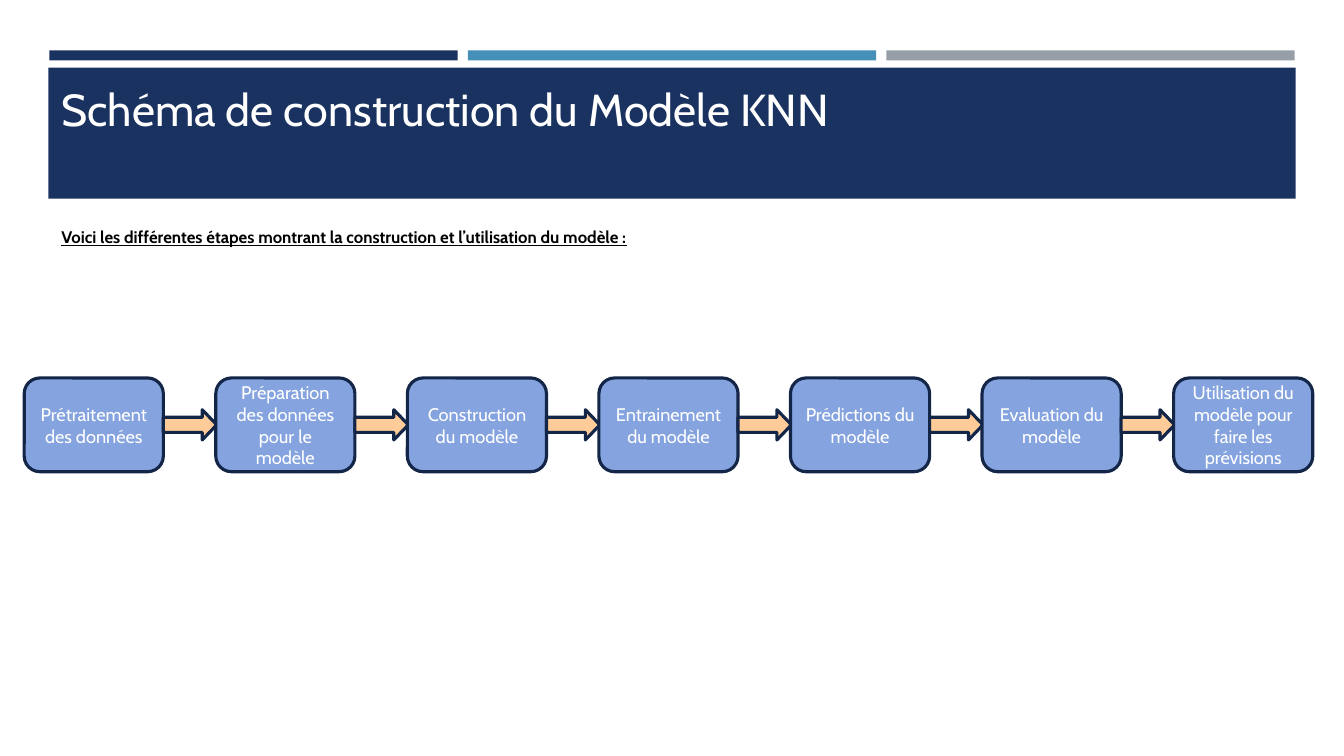
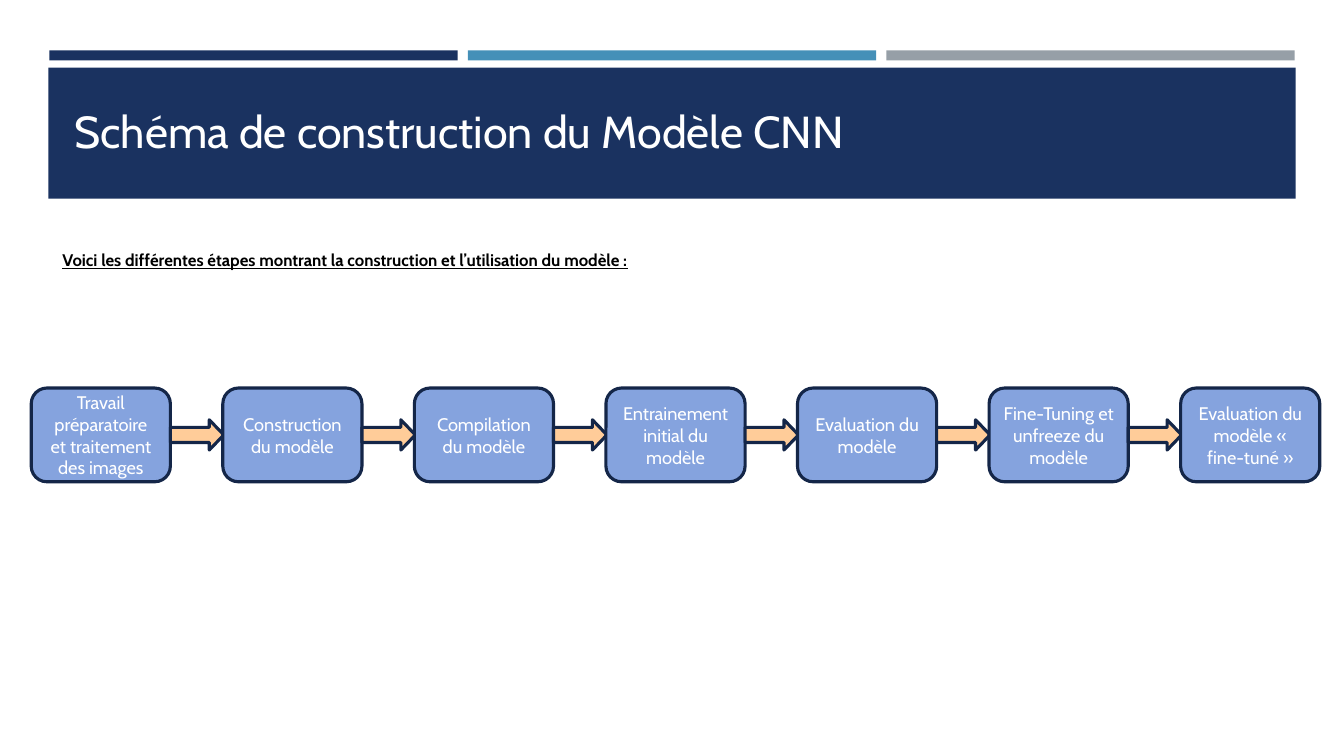
"""Build two slides that show the construction steps of the KNN and CNN models."""
from pptx import Presentation
from pptx.dml.color import RGBColor
from pptx.enum.shapes import MSO_SHAPE as Preset
from pptx.enum.text import MSO_ANCHOR as Anchor, MSO_AUTO_SIZE as AutoSize, PP_ALIGN as Align
from pptx.util import Inches, Pt

NAVY = RGBColor(0x1A, 0x32, 0x60)
BLUE = RGBColor(0x45, 0x90, 0xB8)
GREY = RGBColor(0x96, 0x9F, 0xA7)
STEP_FILL = RGBColor(0x85, 0xA3, 0xDE)
ARROW_FILL = RGBColor(0xFF, 0xCC, 0x99)
OUTLINE = RGBColor(0x14, 0x26, 0x48)
WHITE = RGBColor(0xFF, 0xFF, 0xFF)
BLACK = RGBColor(0x00, 0x00, 0x00)

INTRO = "Voici les différentes étapes montrant la construction et l’utilisation du modèle :"
DIAGRAMS = [
    {
        "title": "Schéma de construction du Modèle KNN",
        "title_at": (0.51, 0.76),
        "intro_at": (0.51, 2.2),
        "steps_at": (0.24, 3.75),
        "steps": [
            "Prétraitement des données",
            "Préparation des données pour le modèle",
            "Construction du modèle",
            "Entrainement du modèle",
            "Prédictions du modèle",
            "Evaluation du modèle",
            "Utilisation du modèle pour faire les prévisions",
        ],
    },
    {
        "title": "Schéma de construction du Modèle CNN",
        "title_at": (0.64, 0.98),
        "intro_at": (0.52, 2.43),
        "steps_at": (0.31, 3.85),
        "steps": [
            "Travail préparatoire et traitement des images",
            "Construction du modèle",
            "Compilation du modèle",
            "Entrainement initial du modèle",
            "Evaluation du modèle",
            "Fine-Tuning et unfreeze du modèle",
            "Evaluation du modèle « fine-tuné »",
        ],
    },
]

TITLE_STYLE = {"size": Pt(32)}
INTRO_STYLE = {"size": Pt(12), "bold": True, "underline": True}
STEP_STYLE = {"size": Pt(13)}

TITLE_SIZE = (11.31, 0.64)
INTRO_SIZE = (12.29, 0.3)
STEP_SIZE = (1.38, 0.93)
ARROW_SIZE = (0.53, 0.3)
STEP_PITCH = 1.9
STRIPE_LEFT, STRIPE_TOP, STRIPE_PITCH = 0.49, 0.5, 4.15
STRIPE_SIZE = (4.05, 0.1)
BAND_AT, BAND_SIZE = (0.48, 0.67), (12.37, 1.3)


def place(position, size):
    return [Inches(length) for length in (*position, *size)]


def add_block(slide, preset, position, size, fill, outline=None):
    block = slide.shapes.add_shape(preset, *place(position, size))
    block.shadow.inherit = False
    block.fill.solid()
    block.fill.fore_color.rgb = fill
    if outline is None:
        block.line.fill.background()
    else:
        block.line.color.rgb = outline
        block.line.width = Pt(2.25)
    return block


def write(frame, text, style, colour, align=Align.LEFT):
    frame.word_wrap = True
    paragraph = frame.paragraphs[0]
    paragraph.alignment = align
    run = paragraph.add_run()
    run.text = text
    for name, value in {"name": "Cabin", **style}.items():
        setattr(run.font, name, value)
    run.font.color.rgb = colour


def add_line_of_text(slide, position, size, text, style, colour):
    frame = slide.shapes.add_textbox(*place(position, size)).text_frame
    write(frame, text, style, colour)
    frame.auto_size = AutoSize.SHAPE_TO_FIT_TEXT


def add_header(slide, layout):
    stripes = [
        add_block(slide, Preset.RECTANGLE,
                  (STRIPE_LEFT + column * STRIPE_PITCH, STRIPE_TOP), STRIPE_SIZE, colour)
        for column, colour in enumerate((NAVY, BLUE, GREY))
    ]
    band = add_block(slide, Preset.RECTANGLE, BAND_AT, BAND_SIZE, NAVY)
    for part in (*stripes, band):
        layout.shapes.element.append(part.element)


def add_steps(slide, position, steps):
    left, top = position
    arrow_top = top + (STEP_SIZE[1] - ARROW_SIZE[1]) / 2
    for column, text in enumerate(steps):
        step_left = left + column * STEP_PITCH
        step = add_block(slide, Preset.ROUNDED_RECTANGLE, (step_left, top),
                         STEP_SIZE, STEP_FILL, OUTLINE)
        step.text_frame.vertical_anchor = Anchor.MIDDLE
        write(step.text_frame, text, STEP_STYLE, WHITE, Align.CENTER)
        if column < len(steps) - 1:
            arrow = add_block(slide, Preset.RIGHT_ARROW,
                              (step_left + STEP_SIZE[0], arrow_top),
                              ARROW_SIZE, ARROW_FILL, OUTLINE)
            arrow.adjustments[1] = 0.48


def main():
    deck = Presentation()
    deck.slide_width, deck.slide_height = Inches(13.33), Inches(7.5)
    blank = deck.slide_layouts[6]
    for number, diagram in enumerate(DIAGRAMS):
        slide = deck.slides.add_slide(blank)
        if number == 0:
            add_header(slide, blank)
        add_line_of_text(slide, diagram["title_at"], TITLE_SIZE,
                         diagram["title"], TITLE_STYLE, WHITE)
        add_line_of_text(slide, diagram["intro_at"], INTRO_SIZE, INTRO, INTRO_STYLE, BLACK)
        add_steps(slide, diagram["steps_at"], diagram["steps"])
    deck.save("out.pptx")


if __name__ == "__main__":
    main()
